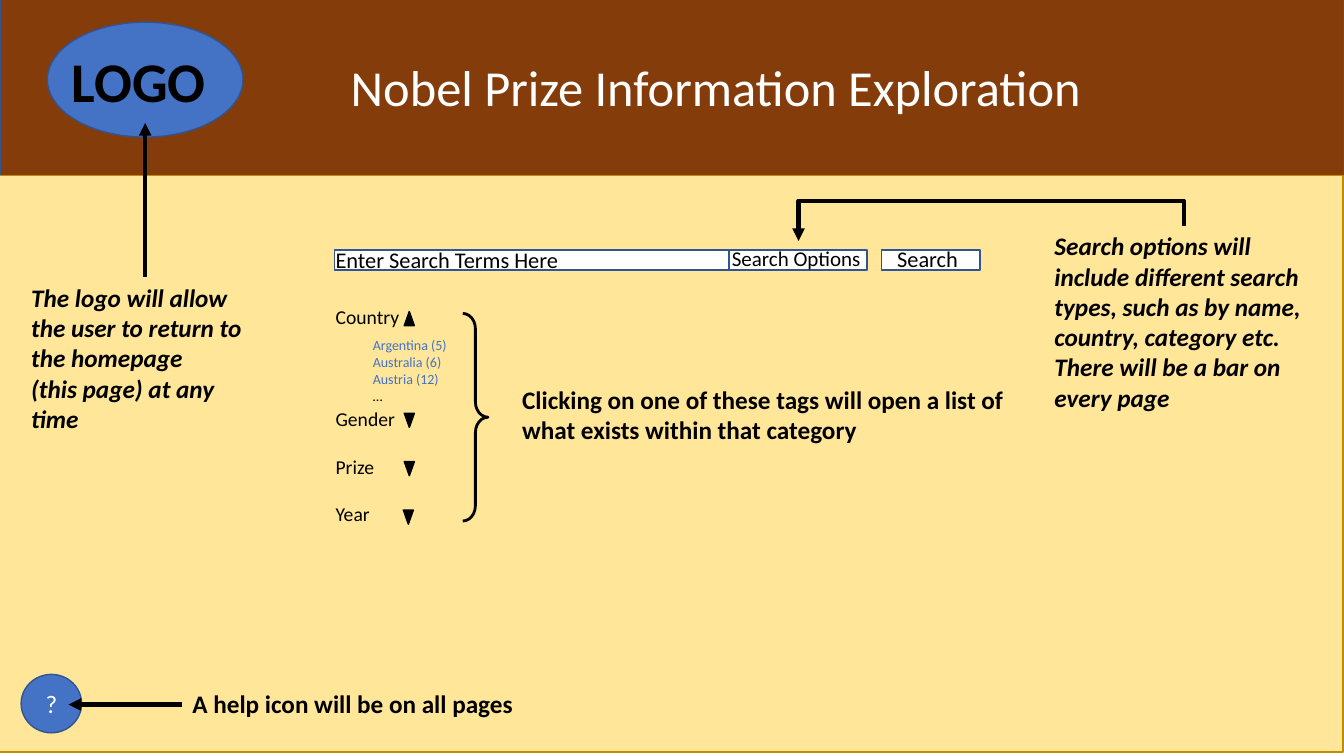
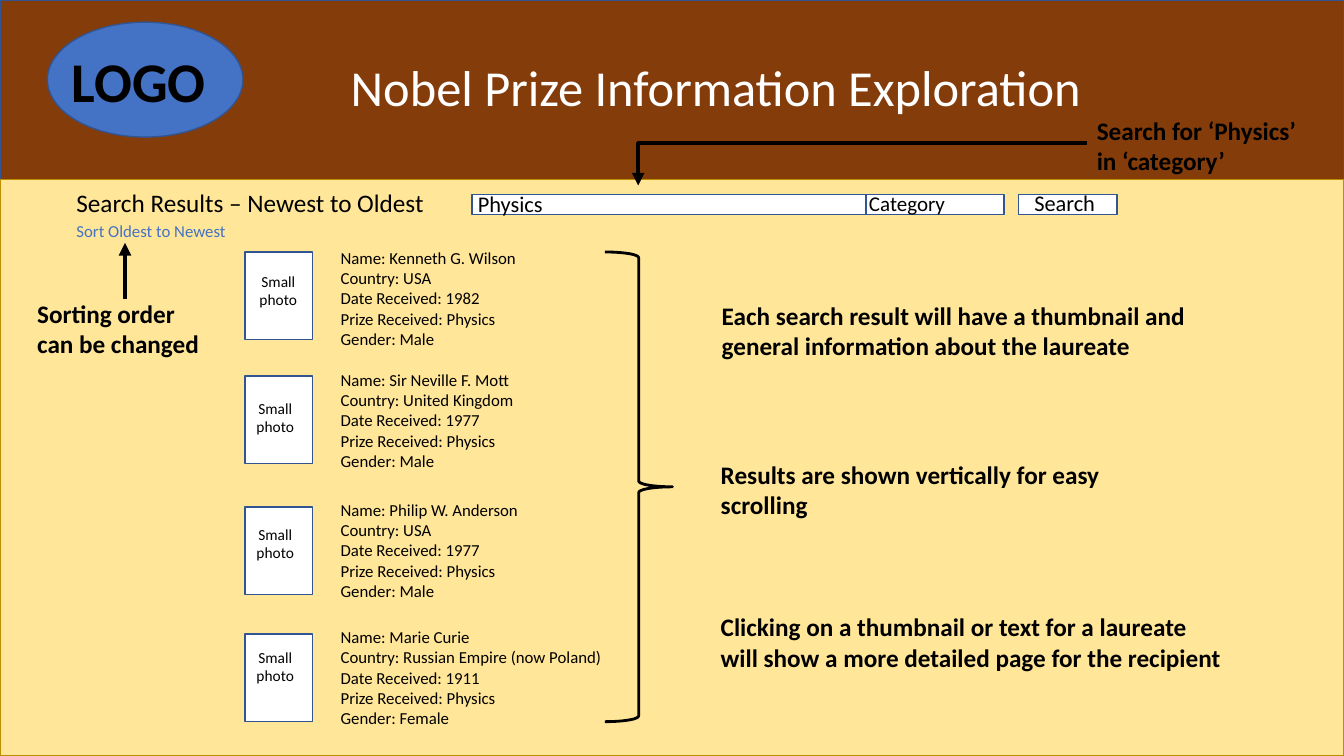
from lxml import etree
from pptx import Presentation
from pptx.dml.color import RGBColor
from pptx.enum.shapes import MSO_CONNECTOR, MSO_SHAPE
from pptx.enum.text import MSO_ANCHOR, MSO_AUTO_SIZE, PP_ALIGN
from pptx.oxml.ns import qn
from pptx.util import Inches, Pt

RECTANGLE = MSO_SHAPE.RECTANGLE
OVAL = MSO_SHAPE.OVAL
TRIANGLE = MSO_SHAPE.FLOWCHART_EXTRACT
BRACE = MSO_SHAPE.RIGHT_BRACE
STRAIGHT = MSO_CONNECTOR.STRAIGHT
ELBOW = MSO_CONNECTOR.ELBOW
LEFT = PP_ALIGN.LEFT
CENTER = PP_ALIGN.CENTER
MIDDLE = MSO_ANCHOR.MIDDLE
GROW = MSO_AUTO_SIZE.SHAPE_TO_FIT_TEXT

BLACK = "000000"
WHITE = "FFFFFF"
BROWN = "843C0B"
CREAM = "FFE699"
GOLD = "BD8E00"
BLUE = "4472C4"
NAVY = "325491"
FONT = "Calibri"


def colour(value):
    return RGBColor.from_string(value)


def write(frame, text, size=18, color=BLACK, bold=False, italic=False,
          align=LEFT, gap=0):
    frame.word_wrap = True
    for index, line in enumerate(text.split("\n")):
        para = frame.add_paragraph() if index else frame.paragraphs[0]
        para.text = line
        para.alignment = align
        para.space_before = Pt(gap if index else 0)
        for span in para.runs:
            span.font.name = FONT
            span.font.size = Pt(size)
            span.font.bold = bold
            span.font.italic = italic
            span.font.color.rgb = colour(color)


class Wireframe:
    def __init__(self):
        self.deck = Presentation()
        self.deck.slide_width = Inches(13.33)
        self.deck.slide_height = Inches(7.5)
        self.page = None

    def add_page(self, left, top, band_top, title):
        self.page = self.deck.slides.add_slide(self.deck.slide_layouts[6])
        self.shape(RECTANGLE, 0, band_top, 13.33, 1.78, BROWN)
        self.shape(RECTANGLE, left, top, 13.33, 5.72, CREAM, GOLD)
        self.shape(OVAL, 0.47, 0.22, 1.94, 1.14, BLUE)
        self.text("LOGO ", 0.47, 0.41, 1.94, 0.77, size=40, bold=True, align=CENTER)
        self.text(title, 3.38, 0.51, 7.91, 0.71, size=36, color=WHITE)

    def shape(self, kind, left, top, width, height, fill=WHITE, line=NAVY, weight=1):
        shape = self.page.shapes.add_shape(
            kind, Inches(left), Inches(top), Inches(width), Inches(height))
        shape.shadow.inherit = False
        if fill:
            shape.fill.solid()
            shape.fill.fore_color.rgb = colour(fill)
        else:
            shape.fill.background()
        shape.line.color.rgb = colour(line)
        shape.line.width = Pt(weight)
        return shape

    def text(self, text, left, top, width, height, **style):
        box = self.page.shapes.add_textbox(
            Inches(left), Inches(top), Inches(width), Inches(height))
        write(box.text_frame, text, **style)
        box.text_frame.auto_size = GROW
        return box

    def note(self, text, left, top, width, height=0.71, italic=False):
        self.text(text, left, top, width, height, bold=True, italic=italic)

    def brace(self, left, top, width, height):
        return self.shape(BRACE, left, top, width, height, None, BLACK, 2)

    def triangle(self, left, top, rotation=180):
        mark = self.shape(TRIANGLE, left, top, 0.1, 0.14, BLACK, BLACK)
        mark.rotation = rotation

    def arrow(self, start, end, kind=STRAIGHT):
        arrow = self.page.shapes.add_connector(
            kind, *(Inches(length) for length in (*start, *end)))
        arrow.line.color.rgb = colour(BLACK)
        arrow.line.width = Pt(3)
        line = arrow.line._get_or_add_ln()
        etree.SubElement(line, qn("a:tailEnd"), type="triangle")
        etree.SubElement(arrow._element.spPr, qn("a:effectLst"))
        return arrow

    def corner_arrow(self, start, end):
        arrow = self.arrow(start, end, ELBOW)
        arrow._element.spPr.find(qn("a:prstGeom")).set("prst", "bentConnector2")

    def over_arrow(self, start, end, peak):
        across, drop = start[0] - end[0], end[1] - start[1]
        middle_x, middle_y = (start[0] + end[0]) / 2, (start[1] + end[1]) / 2
        arrow = self.arrow((middle_x - drop / 2, middle_y - across / 2),
                           (middle_x + drop / 2, middle_y + across / 2), ELBOW)
        properties = arrow._element.spPr
        properties.find(qn("a:xfrm")).set("rot", str(90 * 60000))
        geometry = properties.find(qn("a:prstGeom"))
        guides = geometry.find(qn("a:avLst"))
        if guides is None:
            guides = etree.SubElement(geometry, qn("a:avLst"))
        bend = round((peak - start[1]) / drop * 100000)
        etree.SubElement(guides, qn("a:gd"), name="adj1", fmla=f"val {bend}")

    def search_bar(self, left, top, term, option, indent):
        for offset, width in ((0, 3.91), (3.91, 1.37), (5.42, 0.98)):
            self.shape(RECTANGLE, left + offset, top, width, 0.2)
        self.text(term, left - indent, top - 0.09, 3.39, 0.37, size=16)
        self.text(option, left + 3.84, top - 0.09, 1.51, 0.35, size=15)
        self.text("Search", left + 5.48, top - 0.1, 0.88, 0.37, size=16)

    def laureate(self, photo_top, label, text_top, details):
        fields = ("Name", "Country", "Date Received", "Prize Received", "Gender")
        lines = [f"{field}: {value}" for field, value in zip(fields, details)]
        self.shape(RECTANGLE, 2.43, photo_top, 0.67, 0.87)
        self.text("Small photo", *label, 0.58, 0.47, size=11, align=CENTER)
        self.text("\n".join(lines), 3.28, text_top, 2.95, 1.11, size=12)


TITLE = "Nobel Prize Information Exploration"
frame = Wireframe()

frame.add_page(-0.01, 1.74, -0.02, TITLE)
frame.search_bar(3.32, 2.48, "Enter Search Terms Here", "Search Options", 0.09)
frame.triangle(4.01, 3.09, 0)
for left, top in ((4.01, 4.1), (4.01, 4.58), (4, 5.06)):
    frame.triangle(left, top)
frame.text("Country", 3.23, 2.98, 0.85, 0.34, size=14)
countries = frame.text("Argentina (5)\vAustralia (6)\vAustria (12)\n…",
                       3.6, 3.29, 1, 0.77, size=10, color=BLUE)
countries.text_frame.paragraphs[-1].runs[0].font.color.rgb = colour(BLACK)
frame.text("Gender\nPrize\nYear", 3.23, 3.99, 1.12, 1.28, size=14, gap=17)
frame.note("The logo will allow the user to return to the homepage \n"
           "(this page) at any time", 0.21, 2.75, 2.45, 1.62, italic=True)
frame.arrow((1.44, 2.75), (1.44, 1.22))
frame.note("Search options will include different search types, such as by name, "
           "country, category etc. \nThere will be a bar on every page",
           10.36, 2.24, 2.76, 1.92, italic=True)
frame.over_arrow((11.74, 2.24), (7.92, 2.39), 1.99)
frame.note("Clicking on one of these tags will open a list of what exists "
           "within that category", 5.08, 3.76, 5.14)
tag_brace = frame.brace(4.59, 3.11, 0.25, 2.06)
tag_brace.adjustments[0] = 0.61
help_icon = frame.shape(OVAL, 0.21, 6.69, 0.6, 0.58, BLUE)
write(help_icon.text_frame, "?", color=WHITE, align=CENTER)
help_icon.text_frame.vertical_anchor = MIDDLE
frame.note("A help icon will be on all pages  ", 1.81, 6.78, 4.25, 0.4)
frame.arrow((1.81, 6.99), (0.68, 6.99))

frame.add_page(0, 1.78, 0, TITLE)
LAUREATES = (
    (2.5, (2.47, 2.65), 2.41,
     ("Kenneth G. Wilson", "USA", "1982", "Physics", "Male")),
    (3.73, (2.44, 3.91), 3.62,
     ("Sir Neville F. Mott", "United Kingdom", "1977", "Physics", "Male")),
    (5.03, (2.44, 5.16), 4.91,
     ("Philip W. Anderson", "USA", "1977", "Physics", "Male")),
    (6.29, (2.44, 6.38), 6.17,
     ("Marie Curie", "Russian Empire (now Poland)", "1911", "Physics", "Female")),
)
for laureate in LAUREATES:
    frame.laureate(*laureate)
frame.text("Search Results – Newest to Oldest", 0.66, 1.81, 3.7, 0.4)
frame.text("Sort Oldest to Newest", 0.66, 2.14, 1.69, 0.3, size=12, color=BLUE)
frame.search_bar(4.68, 1.93, "Physics", "Category", 0.04)
frame.note("Each search result will have a thumbnail and general information "
           "about the laureate", 7.06, 2.93, 4.9)
frame.note("Results are shown vertically for easy scrolling", 7.05, 4.51, 4.68)
frame.note("Clicking on a thumbnail or text for a laureate will show a more "
           "detailed page for the recipient", 7.05, 6.02, 5.24)
frame.brace(6, 2.5, 0.67, 4.66)
frame.note("Sorting order\ncan be changed", 0.27, 2.91, 1.92)
frame.arrow((1.24, 2.97), (1.24, 2.41))
frame.note("Search for ‘Physics’ in ‘category’", 10.78, 1.09, 2.33)
frame.corner_arrow((10.78, 1.42), (6.33, 1.84))

frame.deck.save("out.pptx")
